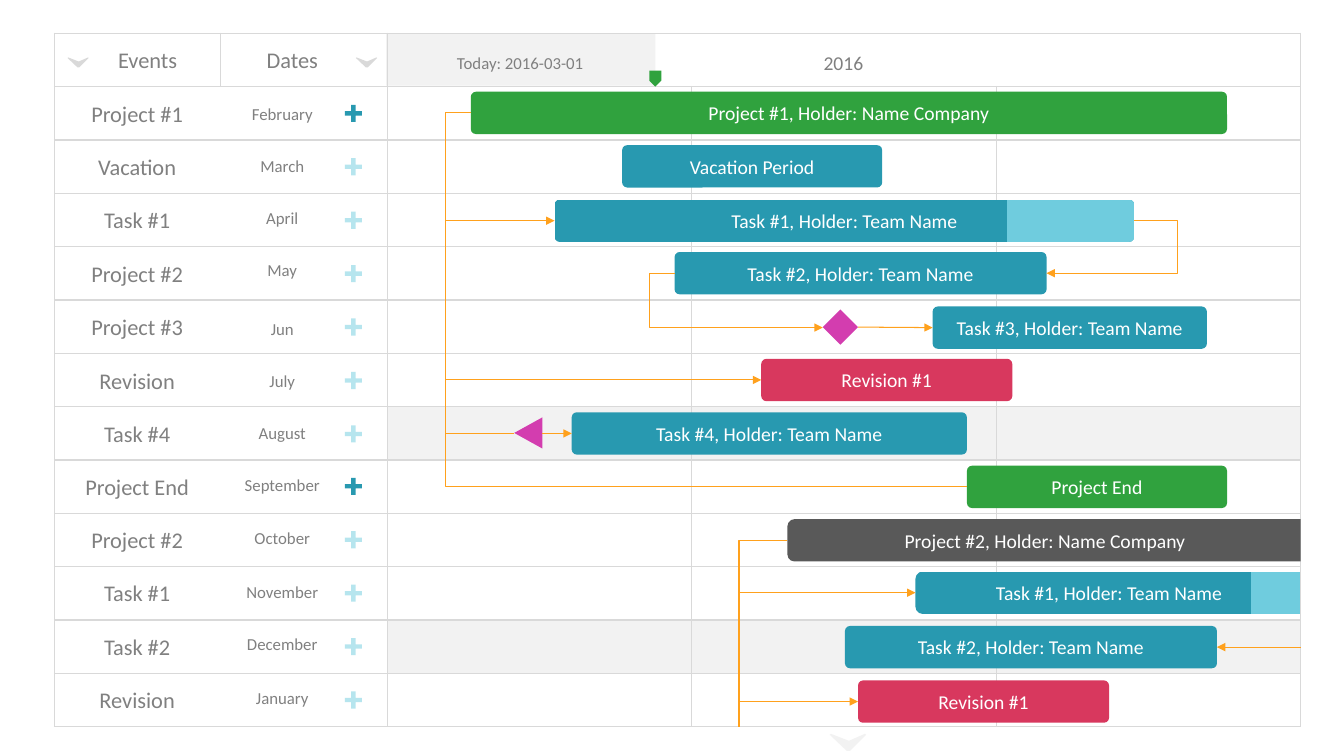
from lxml import etree
from pptx import Presentation
from pptx import util as u
from pptx.dml.color import RGBColor
from pptx.enum import shapes, text
from pptx.oxml.ns import qn

PX = 9144  # one px is a hundredth of an inch
GREEN, TEAL, AQUA, RED = "30A23E", "2899B0", "6FCCDE", "D8385E"
DARK, MAGENTA, ORANGE = "595959", "D33DAF", "FFA11D"
GREY, RULE, PALE, WHITE = "808080", "D9D9D9", "F2F2F2", "FFFFFF"
SHAPE = shapes.MSO_SHAPE
rgb = RGBColor.from_string


def paint(shape, color):
    """Give a shape a flat fill with no outline and no shadow."""
    shape.shadow.inherit = False
    shape.line.fill.background()
    shape.fill.solid()
    shape.fill.fore_color.rgb = rgb(color)


def write(box, words, size, color):
    """Set one centred line of Calibri in a box."""
    box.text_frame.word_wrap = True
    para = box.text_frame.paragraphs[0]
    para.text = words
    para.alignment = text.PP_ALIGN.CENTER
    para.font.name = "Calibri"
    para.font.size = u.Pt(size)
    para.font.color.rgb = rgb(color)


deck = Presentation()
deck.slide_width, deck.slide_height = 1333 * PX, 750 * PX
page = deck.slides.add_slide(deck.slide_layouts[6])

# Grid
left, top, height, row_count = 54, 33, 688, 13
step = height / row_count
columns = [165, 165, 302, 302, 302]
shaded_rows = (7, 11)

past = page.shapes.add_shape(SHAPE.RECTANGLE, 383 * PX, top * PX, 267 * PX, 52 * PX)
paint(past, PALE)

grid = page.shapes.add_table(row_count, len(columns), left * PX, top * PX,
                             sum(columns) * PX, height * PX).table
grid.first_row = grid.horz_banding = False
for column, width in zip(grid.columns, columns):
    column.width = width * PX
for row_index, row in enumerate(grid.rows):
    row.height = int(step * PX)
    for column_index, cell in enumerate(row.cells):
        if row_index in shaded_rows and column_index > 1:
            cell.fill.solid()
            cell.fill.fore_color.rgb = rgb(PALE)
        else:
            cell.fill.background()
        props = cell._tc.get_or_add_tcPr()
        for place, side in enumerate(("lnL", "lnR", "lnT", "lnB")):
            border = etree.Element(qn("a:" + side), w=str(u.Pt(1)))
            solid = etree.SubElement(border, qn("a:solidFill"))
            etree.SubElement(solid, qn("a:srgbClr"), val=RULE)
            props.insert(place, border)
    if row_index:
        grid.cell(row_index, 0).merge(grid.cell(row_index, 1))
grid.cell(0, 2).merge(grid.cell(0, 4))

# event, month, month top, bar left, bar top, bar width, colour, bar label
schedule = [
    ("Project #1", "February", 98, 467, 91, 750, GREEN, "Project #1, Holder: Name Company"),
    ("Vacation", "March", 150, 617, 144, 258, TEAL, "Vacation Period"),
    ("Task #1", "April", 201, 550, 198, 575, TEAL, "Task #1, Holder: Team Name"),
    ("Project #2", "May", 253, 669, 250, 369, TEAL, "Task #2, Holder: Team Name"),
    ("Project #3", "Jun", 311, 925, 304, 272, TEAL, "Task #3, Holder: Team Name"),
    ("Revision", "July", 363, 755, 356, 249, RED, "Revision #1"),
    ("Task #4", "August", 414, 567, 409, 392, TEAL, "Task #4, Holder: Team Name"),
    ("Project End", "September", 466, 959, 462, 258, GREEN, "Project End"),
    ("Project #2", "October", 519, 781, 515, 509, DARK, "Project #2, Holder: Name Company"),
    ("Task #1", "November", 572, 908, 567, 382, TEAL, "Task #1, Holder: Team Name"),
    ("Task #2", "December", 624, 838, 621, 369, TEAL, "Task #2, Holder: Team Name"),
    ("Revision", "January", 677, 851, 675, 249, RED, "Revision #1"),
]
done_share = {2: 0.78, 9: 0.87}
cut_off_rows = (8, 9)
main_rows = (0, 7)
bar_height = 42

labels = [
    (75, 41, 143, 37, 16, "Events"),
    (218, 41, 144, 37, 16, "Dates"),
    (383, 47, 266, 30, 12, "Today: 2016-03-01"),
    (754, 46, 165, 34, 14, "2016"),
]
bars = []
for index, (event, month, month_top, x, y, width, color, words) in enumerate(schedule):
    labels.append((54, round(94 + index * step), 164, 37, 16, event))
    labels.append((218, month_top, 124, 30, 12, month))

    plus = page.shapes.add_shape(SHAPE.CROSS, 342 * PX, round(104 + index * step) * PX,
                                 17 * PX, 17 * PX)
    plus.adjustments[0] = 0.375
    paint(plus, TEAL if index in main_rows else AQUA)
    if index not in main_rows:
        tint = plus._element.spPr.find(qn("a:solidFill"))[0]
        etree.SubElement(tint, qn("a:alpha"), val="50000")

    if index in cut_off_rows:
        # An upright bar turned on its side, so only its left corners are round
        bar = page.shapes.add_shape(
            SHAPE.ROUND_2_SAME_RECTANGLE, int((x + (width - bar_height) / 2) * PX),
            int((y + (bar_height - width) / 2) * PX), bar_height * PX, width * PX)
        bar.rotation = 270
        bar.text_frame._txBody.bodyPr.set("vert", "vert")
    else:
        bar = page.shapes.add_shape(SHAPE.ROUNDED_RECTANGLE, x * PX, y * PX,
                                    width * PX, bar_height * PX)
        bar.adjustments[0] = 0.12
    paint(bar, color)
    if index in done_share:
        bar.fill.gradient()
        bar.fill.gradient_angle = 270 if index in cut_off_rows else 0
        for stop, stop_color in zip(bar.fill.gradient_stops, (TEAL, AQUA)):
            stop.position = done_share[index]
            stop.color.rgb = rgb(stop_color)
    write(bar, words, 14, WHITE)
    bar.text_frame.vertical_anchor = text.MSO_ANCHOR.MIDDLE
    bars.append(bar)

for x, y, width, box_height, size, words in labels:
    box = page.shapes.add_textbox(x * PX, y * PX, width * PX, box_height * PX)
    write(box, words, size, GREY)

# Markers
diamond = page.shapes.add_shape(SHAPE.DIAMOND, 816 * PX, 307 * PX, 35 * PX, 35 * PX)
paint(diamond, MAGENTA)
triangle = page.shapes.add_shape(SHAPE.LEFT_ARROW, 510 * PX, 414 * PX, 28 * PX, 31 * PX)
triangle.adjustments[0], triangle.adjustments[1] = 0.5, 1
paint(triangle, MAGENTA)
today = page.shapes.add_shape(SHAPE.PENTAGON, 642 * PX, 72 * PX, 16 * PX, 12 * PX)
today.rotation = 90
paint(today, GREEN)

for x, y, width, color in [(67, 57, 21, RULE), (353, 57, 21, RULE), (823, 728, 36, PALE)]:
    builder = page.shapes.build_freeform(1, 0, scale=PX * width / 36)
    builder.add_line_segments([(19, 7), (35, 0), (36, 1), (20, 17), (17, 17), (0, 1)])
    paint(builder.convert_to_shape(x * PX, y * PX), color)

# Links: start, end, arrow at the end, x of the bend, joined start, joined end
links = [
    (467, 112, 959, 483, False, 442, None, None),
    (442, 219, 550, 219, True, None, None, (bars[2], 1)),
    (442, 377, 755, 377, True, None, None, (bars[5], 1)),
    (1125, 219, 1038, 271, True, 1168, None, None),
    (669, 271, 816, 325, True, 644, None, None),
    (851, 325, 925, 325, True, None, (diamond, 3), (bars[4], 1)),
    (442, 430, 510, 430, False, None, None, None),
    (538, 430, 567, 430, True, None, None, (bars[6], 1)),
    (781, 536, 733, 721, False, 733, None, None),
    (733, 588, 908, 588, True, None, None, None),
    (1290, 642, 1207, 642, True, None, None, (bars[10], 3)),
    (733, 696, 851, 696, True, None, None, (bars[11], 1)),
]
for x1, y1, x2, y2, arrow, bend, start, end in links:
    kind = shapes.MSO_CONNECTOR.ELBOW if bend else shapes.MSO_CONNECTOR.STRAIGHT
    link = page.shapes.add_connector(kind, x1 * PX, y1 * PX, x2 * PX, y2 * PX)
    props = link._element.spPr
    if bend:
        guides = props.find(qn("a:prstGeom")).find(qn("a:avLst"))
        share = round((bend - x1) / (x2 - x1) * 100000)
        etree.SubElement(guides, qn("a:gd"), name="adj1", fmla=f"val {share}")
    if start:
        link.begin_connect(*start)
    if end:
        link.end_connect(*end)
    link.line.color.rgb = rgb(ORANGE)
    link.line.width = u.Pt(0.75)
    if arrow:
        etree.SubElement(link.line._get_or_add_ln(), qn("a:tailEnd"), type="triangle")
    etree.SubElement(props, qn("a:effectLst"))

deck.save("out.pptx")
